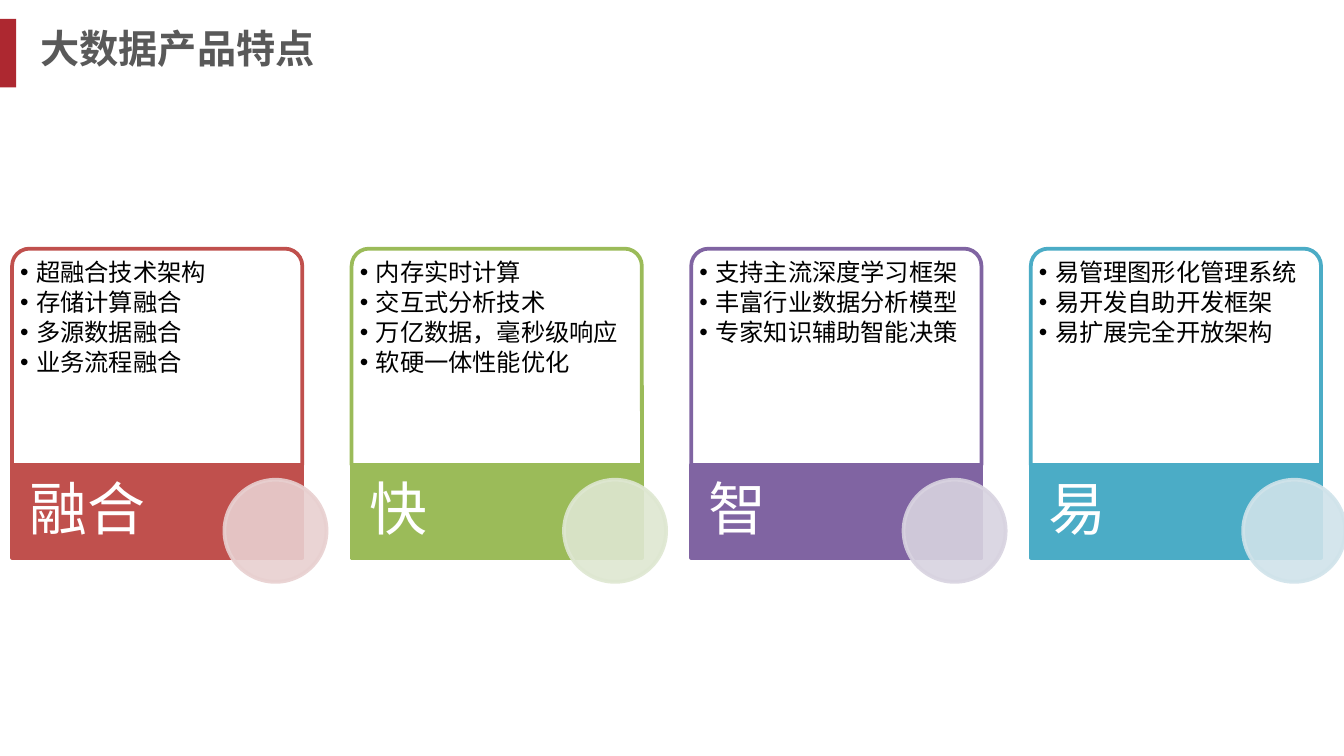
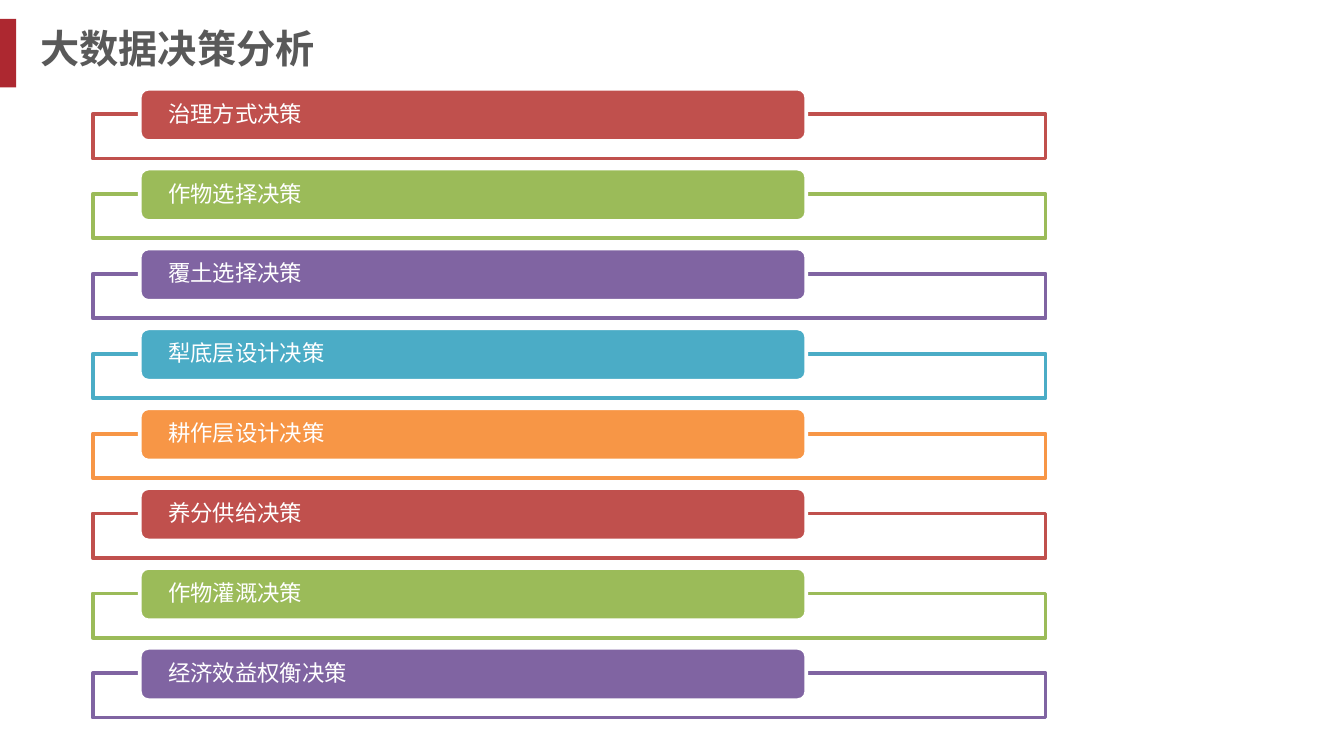
from lxml import etree
from pptx import Presentation
from pptx.dml.color import RGBColor
from pptx.enum.shapes import MSO_SHAPE
from pptx.enum.text import MSO_ANCHOR, MSO_AUTO_SIZE, PP_ALIGN
from pptx.oxml.ns import qn
from pptx.util import Inches, Pt

RECT, ROUNDED, ELLIPSE = MSO_SHAPE.RECTANGLE, MSO_SHAPE.ROUNDED_RECTANGLE, MSO_SHAPE.OVAL
ROUND_TOP = MSO_SHAPE.ROUND_2_SAME_RECTANGLE
TOP, MIDDLE = MSO_ANCHOR.TOP, MSO_ANCHOR.MIDDLE
LEFT = PP_ALIGN.LEFT
NO_FIT = MSO_AUTO_SIZE.NONE

# Colours and fonts
WHITE = RGBColor(0xFF, 0xFF, 0xFF)
BLACK = RGBColor(0x00, 0x00, 0x00)
GREY = RGBColor(0x59, 0x59, 0x59)
CRIMSON = RGBColor(0xAD, 0x28, 0x30)
RED = RGBColor(0xC0, 0x50, 0x4D)
GREEN = RGBColor(0x9B, 0xBB, 0x59)
PURPLE = RGBColor(0x80, 0x64, 0xA2)
TEAL = RGBColor(0x4B, 0xAC, 0xC6)
ORANGE = RGBColor(0xF7, 0x96, 0x46)
PALE_RED = RGBColor(0xE8, 0xD0, 0xD0)
PALE_GREEN = RGBColor(0xDE, 0xE7, 0xD1)
PALE_PURPLE = RGBColor(0xD8, 0xD3, 0xE0)
PALE_TEAL = RGBColor(0xD0, 0xE3, 0xEA)
ACCENTS = [RED, GREEN, PURPLE, TEAL, ORANGE]
TITLE_FONT, BODY_FONT = "Noto Sans CJK SC", "Calibri"

# Content
FEATURES_TITLE = "大数据产品特点"
FEATURES = [
    ("融合", RED, PALE_RED,
     ["超融合技术架构", "存储计算融合", "多源数据融合", "业务流程融合"]),
    ("快", GREEN, PALE_GREEN,
     ["内存实时计算", "交互式分析技术", "万亿数据，毫秒级响应", "软硬一体性能优化"]),
    ("智", PURPLE, PALE_PURPLE,
     ["支持主流深度学习框架", "丰富行业数据分析模型", "专家知识辅助智能决策"]),
    ("易", TEAL, PALE_TEAL,
     ["易管理图形化管理系统", "易开发自助开发框架", "易扩展完全开放架构"]),
]
DECISIONS_TITLE = "大数据决策分析"
DECISIONS = ["治理方式决策", "作物选择决策", "覆土选择决策", "犁底层设计决策",
             "耕作层设计决策", "养分供给决策", "作物灌溉决策", "经济效益权衡决策"]

# Grid, in inches
SLIDE_WIDTH = 10
SLIDE_HEIGHT = SLIDE_WIDTH * 9 / 16
CARD_LEFT, LAST_CARD_LEFT, CARD_TOP = 0.09, 7.67, 1.85
CARD_PITCH = (LAST_CARD_LEFT - CARD_LEFT) / (len(FEATURES) - 1)
CARD_WIDTH, CARD_HEIGHT, BAND_HEIGHT = 2.16, 1.61, 0.69
ROW_TOP, LAST_ROW_TOP = 0.66, 4.82
ROW_PITCH = (LAST_ROW_TOP - ROW_TOP) / (len(DECISIONS) - 1)


def place(shape, left, top, width, height):
    shape.left, shape.top = Inches(left), Inches(top)
    shape.width, shape.height = Inches(width), Inches(height)


def add_block(slide, kind, box, fill, line=None, fill_alpha=100, line_alpha=100):
    block = slide.shapes.add_shape(kind, *map(Inches, box))
    block.shadow.inherit = False
    block.fill.solid()
    block.fill.fore_color.rgb = fill
    if line is None:
        block.line.fill.background()
    else:
        block.line.color.rgb = line
        block.line.width = Pt(2)
    colors = block.element.spPr.iter(qn("a:srgbClr"))
    for color, alpha in zip(colors, (fill_alpha, line_alpha)):
        if alpha < 100:
            etree.SubElement(color, qn("a:alpha")).set("val", str(alpha * 1000))
    return block


def write(shape, lines, size, color, margins, anchor, font=BODY_FONT,
          bold=False, spacing=0.9, bullets=False):
    frame = shape.text_frame
    frame.word_wrap = True
    frame.auto_size = NO_FIT
    frame.vertical_anchor = anchor
    (frame.margin_left, frame.margin_top,
     frame.margin_right, frame.margin_bottom) = map(Inches, margins)
    frame.text = "\n".join(lines)
    for paragraph in frame.paragraphs:
        paragraph.alignment = LEFT
        paragraph.line_spacing = spacing
        paragraph.space_before = Pt(0)
        if bullets:
            paragraph.level = 1
            paragraph.space_after = Pt(1.95)
            props = paragraph._p.get_or_add_pPr()
            props.set("marL", str(Inches(0.12)))
            props.set("indent", str(-Inches(0.12)))
            etree.SubElement(props, qn("a:buChar")).set("char", "•")
        text_font = paragraph.font
        text_font.name, text_font.size, text_font.bold = font, Pt(size), bold
        text_font.color.rgb = color
        if font == TITLE_FONT:
            east_asian = etree.SubElement(text_font._element, qn("a:ea"))
            east_asian.set("typeface", font)


def add_label(slide, box, text, size, margins):
    label = slide.shapes.add_textbox(*map(Inches, box))
    write(label, [text], size, WHITE, margins, MIDDLE)


def add_slide(prs, layout_name, title):
    slide = prs.slides.add_slide(prs.slide_layouts.get_by_name(layout_name))
    add_block(slide, RECT, (0, 0.14, 0.12, 0.51), CRIMSON)
    place(slide.shapes.title, 0.2, 0.14, 8.27, 0.51)
    write(slide.shapes.title, [title], 21, GREY, (0.1, 0.04, 0.1, 0.05), TOP,
          font=TITLE_FONT, bold=True, spacing=1.0)
    return slide


def build_features(prs):
    slide = add_slide(prs, "Comparison", FEATURES_TITLE)
    lists = [holder for holder in slide.placeholders
             if holder.placeholder_format.idx > 0]
    band_top = CARD_TOP + CARD_HEIGHT
    for column, (name, accent, pale, points) in enumerate(FEATURES):
        left = CARD_LEFT + column * CARD_PITCH
        # Card with its list in front
        card = add_block(slide, ROUND_TOP, (left, CARD_TOP, CARD_WIDTH, CARD_HEIGHT),
                         WHITE, accent, fill_alpha=90)
        card.adjustments[0] = 0.08
        point_list = lists[column]
        place(point_list, left + 0.04, CARD_TOP + 0.04, CARD_WIDTH - 0.08,
              CARD_HEIGHT - 0.04)
        write(point_list, points, 13, BLACK, (0.02, 0.05, 0.02, 0.02), TOP,
              bullets=True)
        card.element.addnext(point_list.element)
        # Name band and disc
        add_block(slide, RECT, (left, band_top, CARD_WIDTH, BAND_HEIGHT), accent, accent)
        add_label(slide, (left, band_top, 1.52, BAND_HEIGHT), name, 31,
                  (0.13, 0, 0.04, 0))
        add_block(slide, ELLIPSE, (left + 1.58, band_top + 0.11, 0.76, 0.76),
                  pale, pale, fill_alpha=90, line_alpha=90)


def build_decisions(prs):
    slide = add_slide(prs, "Title Only", DECISIONS_TITLE)
    for row, decision in enumerate(DECISIONS):
        top = ROW_TOP + row * ROW_PITCH
        accent = ACCENTS[row % len(ACCENTS)]
        # Open frame, then the coloured bar and its label
        add_block(slide, RECT, (0.69, top + 0.19, 7.09, 0.33), WHITE, accent,
                  fill_alpha=90)
        add_block(slide, ROUNDED, (1.04, top, 4.96, 0.39), accent, WHITE)
        add_label(slide, (1.06, top + 0.02, 4.92, 0.35), decision, 12,
                  (0.19, 0, 0.19, 0))


def main():
    prs = Presentation()
    prs.slide_width, prs.slide_height = Inches(SLIDE_WIDTH), Inches(SLIDE_HEIGHT)
    build_features(prs)
    build_decisions(prs)
    prs.save("out.pptx")


if __name__ == "__main__":
    main()
